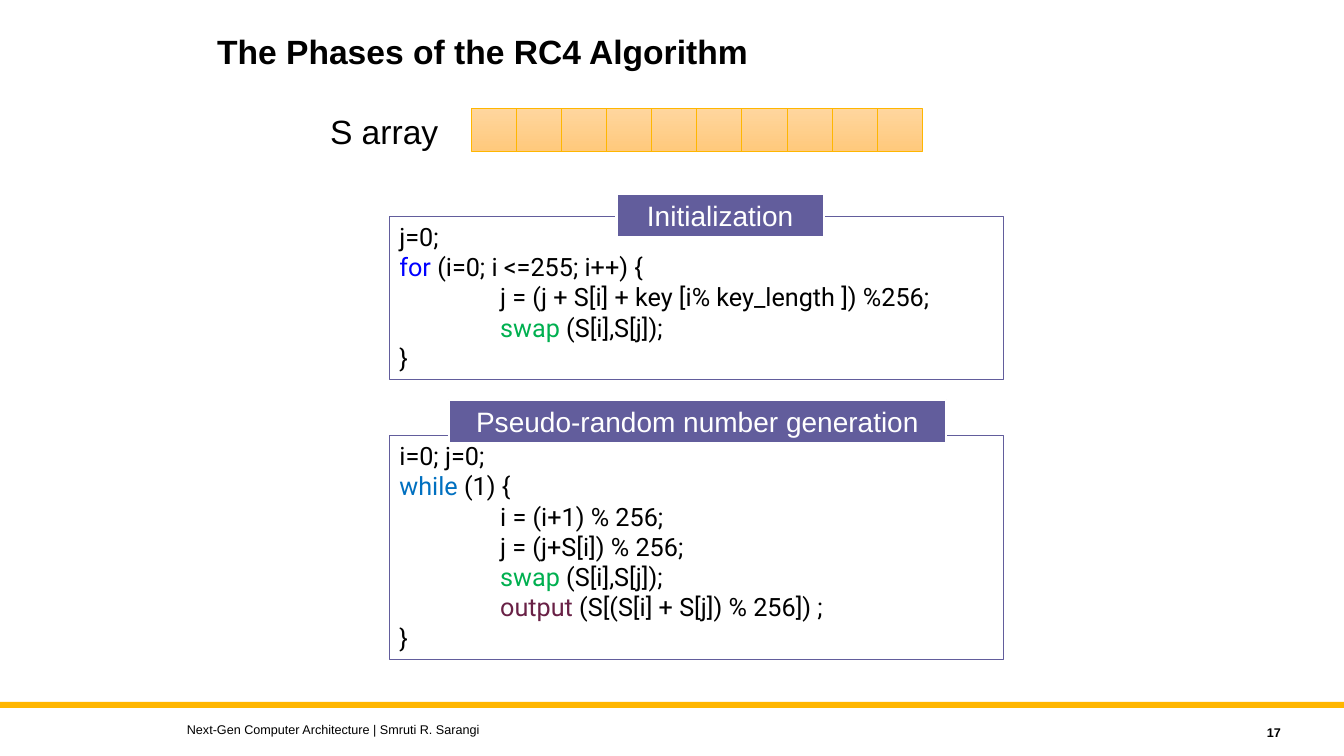
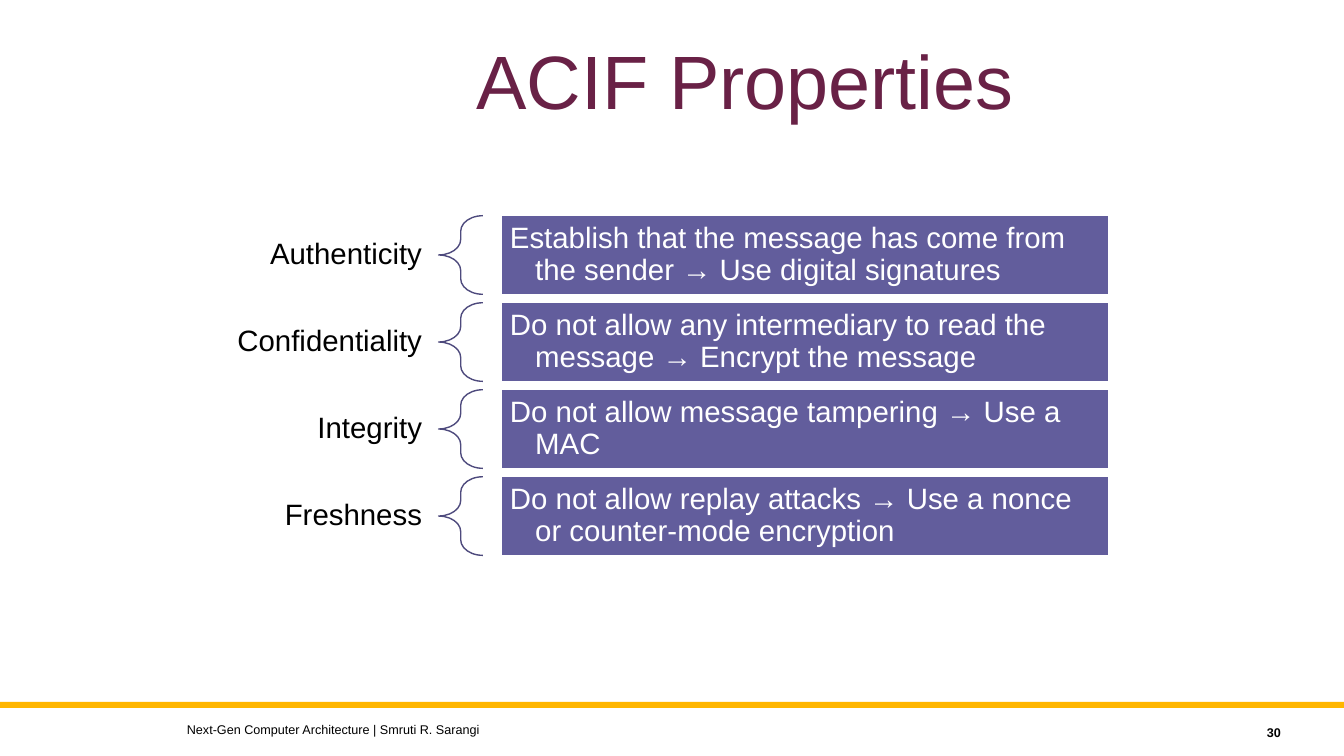
from lxml import etree
from pptx import Presentation
from pptx import util as u
from pptx.dml.color import RGBColor
from pptx.enum import shapes, text
from pptx.oxml.ns import qn

# Shared colours and styles
rgb = RGBColor.from_string
BLACK, WHITE = "000000", "FFFFFF"
GOLD, PURPLE, PLUM = "FFB600", "625D9C", "692146"
BRACE_LINE = "4E4A7D"
CELL_TOP, CELL_BOTTOM = "FFD69E", "FFC97C"
ACCENTS = {"for": "0000FF", "while": "0070C0", "swap": "00B050", "output": PLUM}
LEFT, CENTER, RIGHT = text.PP_ALIGN.LEFT, text.PP_ALIGN.CENTER, text.PP_ALIGN.RIGHT
TOP, MIDDLE = text.MSO_ANCHOR.TOP, text.MSO_ANCHOR.MIDDLE
RECTANGLE = shapes.MSO_SHAPE.RECTANGLE

presentation = Presentation()
presentation.slide_width = u.Emu(12192000)
presentation.slide_height = u.Inches(7.5)

# The grid has 100 columns and 100 rows
COLUMN = presentation.slide_width / 100
ROW = presentation.slide_height / 100


def box(slide, left, top, width, height, fill=None, line=None, weight=1, kind=RECTANGLE):
    """Add a preset shape, placed in columns and rows."""
    shape = slide.shapes.add_shape(kind, int(left * COLUMN), int(top * ROW),
                                   int(width * COLUMN), int(height * ROW))
    shape.shadow.inherit = False
    if fill:
        shape.fill.solid()
        shape.fill.fore_color.rgb = rgb(fill)
    else:
        shape.fill.background()
    if line:
        shape.line.color.rgb = rgb(line)
        shape.line.width = u.Pt(weight)
    else:
        shape.line.fill.background()
    return shape


def write(shape, content, size, colour=BLACK, align=LEFT, anchor=MIDDLE,
          font="Arial", bold=False, spacing=1.0, accents=None):
    """Fill a shape with text; accents maps a word to its colour."""
    accents = accents or {}
    frame = shape.text_frame
    frame.text = content
    frame.word_wrap = True
    frame.vertical_anchor = anchor
    for paragraph in frame.paragraphs:
        paragraph.alignment = align
        paragraph.line_spacing = spacing
        line = paragraph.text
        for word in accents:
            if word in line:
                before, found, after = line.partition(word)
                paragraph.text = before
                for piece in (found, after):
                    paragraph.add_run().text = piece
        for run in paragraph.runs:
            run.font.name = font
            run.font.size = u.Pt(size)
            run.font.bold = bold
            run.font.color.rgb = rgb(accents.get(run.text, colour))
    return frame


# Slides with the shared band, footer and page number
slides = []
for page in ("17", "30"):
    slide = presentation.slides.add_slide(presentation.slide_layouts[6])
    box(slide, 0, 92.85, 100, 0.8, GOLD)
    write(box(slide, 13.17, 94.85, 60, 3.33),
          "Next-Gen Computer Architecture | Smruti R. Sarangi", 9)
    write(box(slide, 85.55, 95.2, 10.5, 3.33), page, 9, align=RIGHT, bold=True)
    slides.append(slide)
phases, properties = slides

# Phases: title
write(box(phases, 15.42, 4, 56.25, 8.4), "The Phases of the RC4 Algorithm", 24,
      anchor=TOP, bold=True, spacing=0.9)

# Phases: code panels with their tags
INITIALIZATION = """j=0;
for (i=0; i <=255; i++) {
\tj = (j + S[i] + key [i% key_length ]) %256;
\tswap (S[i],S[j]);
}"""
GENERATION = """i=0; j=0;
while (1) {
\ti = (i+1) % 256;
\tj = (j+S[i]) % 256;
\tswap (S[i],S[j]);
\toutput (S[(S[i] + S[j]) % 256]) ;
}"""
panels = [
    # code, panel top and height, tag, tag left, top and width
    (INITIALIZATION, 28.6, 21.6, "Initialization", 45.87, 25.67, 15.45),
    (GENERATION, 57.6, 29.6, "Pseudo-random number generation", 33.4, 52.87, 37),
]
for code, top, height, tag, tag_left, tag_top, tag_width in panels:
    panel = box(phases, 28.98, top, 45.68, height, WHITE, PURPLE)
    frame = write(panel, code, 18, anchor=TOP, font="Roboto", accents=ACCENTS)
    for paragraph in frame.paragraphs:
        tabs = etree.SubElement(paragraph._p.get_or_add_pPr(), qn("a:tabLst"))
        etree.SubElement(tabs, qn("a:tab"), pos=str(u.Inches(1)), algn="l")
    label = box(phases, tag_left, tag_top, tag_width, 5.73, PURPLE, WHITE, 1.5)
    write(label, tag, 20, WHITE, CENTER)

# Phases: S array
for index in range(10):
    cell = box(phases, 35.1 + index * 3.35, 14.4, 3.42, 5.6, CELL_TOP, GOLD, 0.5)
    cell.fill.gradient()
    cell.fill.gradient_angle = 270
    for stop, colour in zip(cell.fill.gradient_stops, (CELL_TOP, CELL_BOTTOM)):
        stop.color.rgb = rgb(colour)
write(box(phases, 23.82, 14, 10.5, 6.67), "S array", 24, anchor=TOP)

# Properties: label, brace and description in each row
rows = [
    ("Authenticity",
     "Establish that the message has come from the sender → Use digital signatures"),
    ("Confidentiality",
     "Do not allow any intermediary to read the message → Encrypt the message"),
    ("Integrity", "Do not allow message tampering → Use a MAC"),
    ("Freshness",
     "Do not allow replay attacks → Use a nonce or counter-mode encryption"),
]
ROW_HEIGHT, ROW_STEP = 10.4, 11.51
for index, (name, description) in enumerate(rows):
    top = 28.53 + index * ROW_STEP
    frame = write(box(properties, 15.95, top, 16.65, ROW_HEIGHT), name, 21,
                  align=RIGHT, spacing=0.9)
    frame.margin_left = frame.margin_right = u.Inches(0.16)

    brace = box(properties, 32.63, top, 3.3, ROW_HEIGHT, line=BRACE_LINE,
                kind=shapes.MSO_SHAPE.LEFT_BRACE)
    brace.adjustments[0] = 0.35

    bar = box(properties, 37.27, top, 45.25, ROW_HEIGHT, PURPLE, WHITE)
    frame = write(bar, description, 21, WHITE, spacing=0.9)
    frame.margin_left = frame.margin_right = u.Inches(0.09)
    hanging = frame.paragraphs[0]._p.get_or_add_pPr()
    hanging.set("marL", str(u.Inches(0.25)))
    hanging.set("indent", str(-u.Inches(0.25)))

# Properties: title
write(box(properties, 34.47, 3.83, 41.93, 13.47), "ACIF Properties", 54, PLUM,
      CENTER, TOP)

presentation.save("out.pptx")
